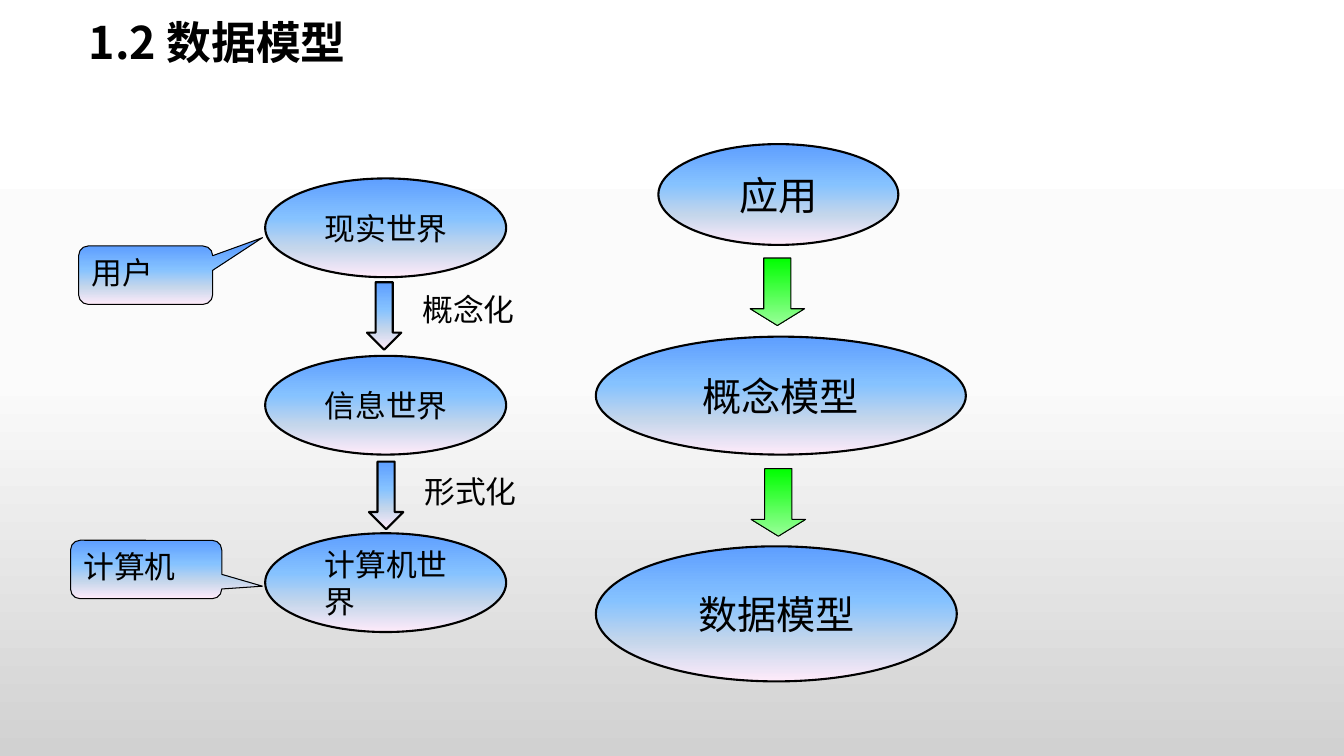
from lxml.etree import SubElement
from pptx import Presentation
from pptx.dml.color import RGBColor
from pptx.enum.shapes import MSO_SHAPE as Shape
from pptx.enum.text import MSO_ANCHOR as Anchor, MSO_AUTO_SIZE as AutoSize, PP_ALIGN as Align
from pptx.oxml.ns import qn
from pptx.util import Inches, Pt

COLORS = {"ink": "000000"}
GRADIENTS = {
    "page": {0: "FFFFFF", 50: "FBFBFB", 100: "D1D1D1"},
    "sky": {0: "5E9EFF", 40: "85C2FF", 70: "C4D6EB", 100: "FFEBFA"},
    "green": {0: "00FF00", 100: "99FF99"},
}
SANS, SERIF = "Noto Sans CJK SC", "Times New Roman"


def paint(fill, owner, gradient):
    """Fill the owner element from top to bottom with a named gradient."""
    fill.gradient()
    fill.gradient_angle = 270
    stops = owner.find(".//" + qn("a:gsLst"))
    for stop in list(stops):
        stops.remove(stop)
    for percent, color in GRADIENTS[gradient].items():
        stop = SubElement(stops, qn("a:gs"), pos=str(percent * 1000))
        SubElement(stop, qn("a:srgbClr"), val=color)


def write(frame, text, size, align=Align.LEFT, font=SANS, bold=False):
    """Put one formatted paragraph into a text frame."""
    frame.text = text
    paragraph = frame.paragraphs[0]
    paragraph.alignment = align
    run = paragraph.runs[0]
    run.font.size, run.font.bold = Pt(size), bold
    run.font.color.rgb = RGBColor.from_string(COLORS["ink"])
    run.font.name = font
    SubElement(run.font._element, qn("a:ea"), typeface=SANS)


def add_figure(slide, kind, box, gradient="sky", line=1.5, adjustments=()):
    """Draw an outlined gradient shape in the box and return it."""
    figure = slide.shapes.add_shape(kind, *map(Inches, box))
    figure.shadow.inherit = False
    paint(figure.fill, figure.element, gradient)
    figure.line.color.rgb = RGBColor.from_string(COLORS["ink"])
    figure.line.width = Pt(line)
    for index, value in enumerate(adjustments):
        figure.adjustments[index] = value
    return figure


def add_title(slide, box):
    """Place the slide heading in the box."""
    title = slide.shapes.title
    title.left, title.top, title.width, title.height = map(Inches, box)
    title.text_frame.auto_size = AutoSize.NONE
    title.text_frame.vertical_anchor = Anchor.MIDDLE
    write(title.text_frame, "1.2 数据模型", 32, bold=True)
    title.text_frame.paragraphs[0].line_spacing = 0.9


def add_worlds(slide, left, top):
    """Stack the three worlds with the steps between them."""
    for index, name in enumerate(["现实世界", "信息世界", "计算机世界"]):
        world = add_figure(slide, Shape.OVAL, (left, top + index * 1.76, 2.39, 0.98))
        world.text_frame.vertical_anchor = Anchor.MIDDLE
        world.text_frame.margin_left = Inches(0.24)
        write(world.text_frame, name, 22)
    steps = [("概念化", 1.01, 1.03, 1.56, 1.11), ("形式化", 1.03, 2.81, 1.58, 2.92)]
    for name, arrow_x, arrow_y, label_x, label_y in steps:
        add_figure(slide, Shape.DOWN_ARROW, (left + arrow_x, top + arrow_y, 0.34, 0.67),
                   adjustments=(0.5, 0.5))
        label = slide.shapes.add_textbox(
            *map(Inches, (left + label_x, top + label_y, 0.93, 0.37)))
        frame = label.text_frame
        frame.margin_left = frame.margin_right = frame.margin_top = frame.margin_bottom = 0
        frame.word_wrap = False
        write(frame, name, 22)


def add_callout(slide, name, box, pointer):
    """Label a world with a speech bubble."""
    callout = add_figure(slide, Shape.ROUNDED_RECTANGULAR_CALLOUT, box, line=0.75,
                         adjustments=(*pointer, 0.167))
    callout.text_frame.vertical_anchor = Anchor.TOP
    write(callout.text_frame, name, 22, font=SERIF)


def add_models(slide, left, top):
    """Stack the application and its models with green arrows between them."""
    models = [
        ("应用", 0.62, 0, 2.38, 1),
        ("概念模型", 0, 1.91, 3.67, 1.17),
        ("数据模型", 0, 3.99, 3.58, 1.34),
    ]
    for name, x, y, width, height in models:
        model = add_figure(slide, Shape.OVAL, (left + x, top + y, width, height))
        model.text_frame.vertical_anchor = Anchor.MIDDLE
        write(model.text_frame, name, 28, Align.CENTER)
    for x, y in [(1.53, 1.13), (1.54, 3.22)]:
        add_figure(slide, Shape.DOWN_ARROW, (left + x, top + y, 0.54, 0.67),
                   "green", 0.75, (0.5, 0.308))


def main():
    """Build the data model slide."""
    deck = Presentation()
    deck.slide_width, deck.slide_height = Inches(13.33), Inches(7.5)
    slide = deck.slides.add_slide(deck.slide_layouts[5])
    paint(slide.background.fill, slide.element, "page")
    add_title(slide, (0.78, 0.15, 5.42, 0.59))
    add_worlds(slide, 2.63, 1.77)
    add_callout(slide, "用户", (0.78, 2.44, 1.33, 0.58), (0.872, -0.643))
    add_callout(slide, "计算机", (0.7, 5.36, 1.5, 0.58), (0.769, 0.286))
    add_models(slide, 5.91, 1.43)
    deck.save("out.pptx")


if __name__ == "__main__":
    main()
